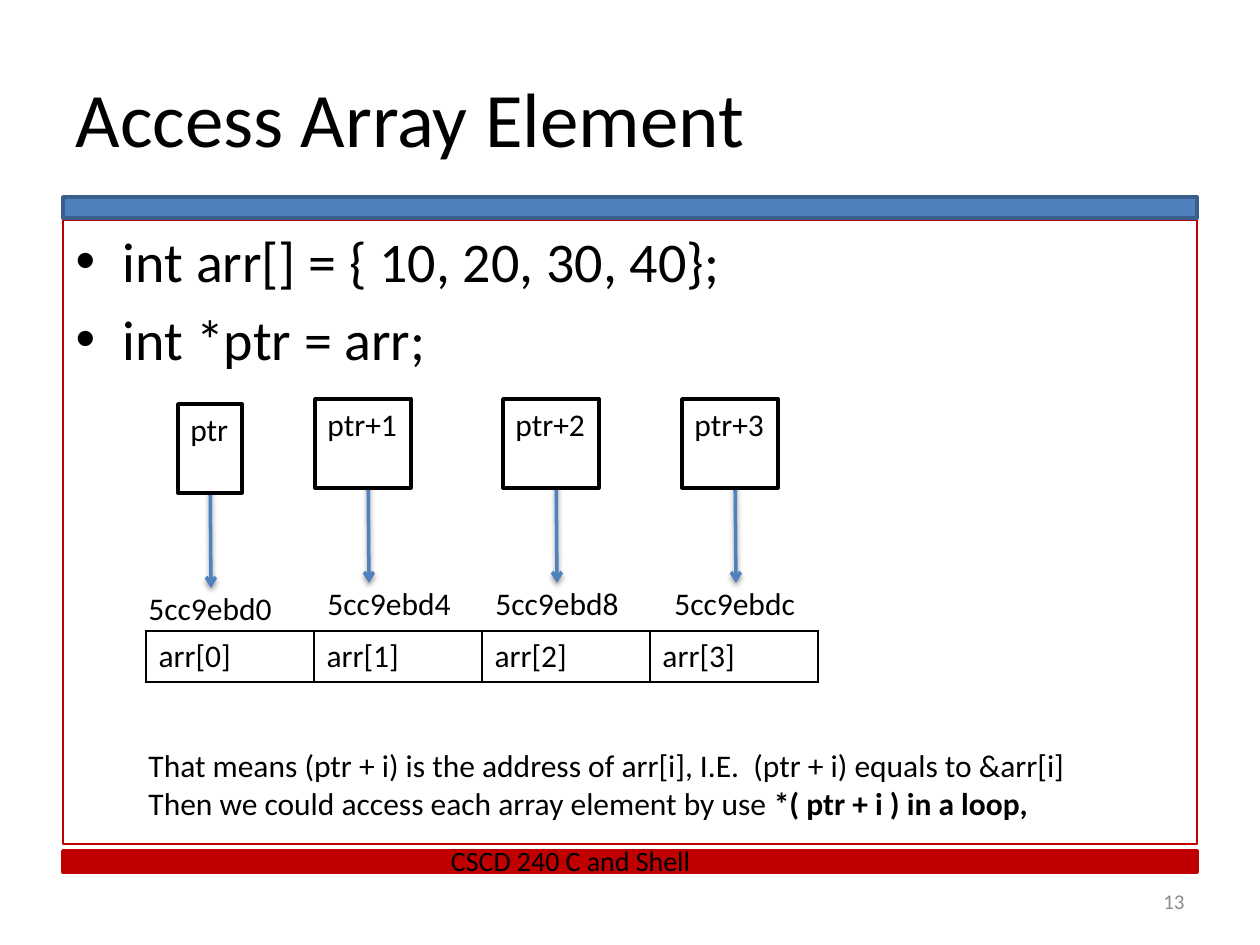
from lxml.etree import SubElement as Sub
from pptx import Presentation
from pptx.dml.color import RGBColor
from pptx.enum.shapes import MSO_CONNECTOR as Link, MSO_SHAPE as Preset
from pptx.enum.text import MSO_ANCHOR as Anchor, PP_ALIGN as Align
from pptx.oxml import parse_xml
from pptx.oxml.ns import nsdecls, qn
from pptx.util import Emu, Pt

BLACK, WHITE, RED, BLUE = "000000", "FFFFFF", "C00000", "4F81BD"


def px(*nums):
    """Turn px, 126 to the inch, into EMU."""
    return [Emu(round(n * 914400 / 126)) for n in nums]


def hue(code):
    return RGBColor.from_string(code)


def style(para, size, color=BLACK, align=Align.LEFT):
    font = para.font
    font.name, font.size = "Calibri", Pt(size)
    font.color.rgb = hue(color)
    para.alignment = align


def stroke(line, color, width):
    line.color.rgb = hue(color)
    line.width = Pt(width)


def place(shape, *box):
    shape.left, shape.top, shape.width, shape.height = px(*box)


def write(shape, lines, size, **look):
    """Fill a shape with lines; a line is a list of (text, bold) or a string."""
    frame = shape.text_frame
    for i, line in enumerate(lines):
        para = frame.paragraphs[0] if i == 0 else frame.add_paragraph()
        for text, bold in [(line, None)] if isinstance(line, str) else line:
            run = para.add_run()
            run.text = text
            run.font.bold = bold
        style(para, size, **look)
    return frame


def add_text(slide, box, lines, size=18, wrap=False, **look):
    frame = write(slide.shapes.add_textbox(*px(*box)), lines, size, **look)
    frame.word_wrap = wrap
    return frame


def add_rect(slide, box, fill, edge):
    rect = slide.shapes.add_shape(Preset.RECTANGLE, *px(*box))
    rect.shadow.inherit = False
    rect.fill.solid()
    rect.fill.fore_color.rgb = hue(fill)
    stroke(rect.line, edge, 2)
    return rect


def add_arrow(slide, *ends):
    arrow = slide.shapes.add_connector(Link.STRAIGHT, *px(*ends))
    stroke(arrow.line, BLUE, 2)
    Sub(arrow.line._get_or_add_ln(), qn("a:tailEnd"), type="arrow")
    arrow._element.spPr.append(parse_xml(
        f'<a:effectLst {nsdecls("a")}><a:outerShdw blurRad="39370" dist="20320" '
        'dir="5400000" rotWithShape="0"><a:srgbClr val="000000">'
        '<a:alpha val="38000"/></a:srgbClr></a:outerShdw></a:effectLst>'))


def add_pointer(slide, name, left, top, width, mid):
    """Draw a pointer box over the start of its arrow."""
    add_arrow(slide, left + mid, top + 56, left + mid + 1, top + 184)
    box = add_rect(slide, (left, top, width, 89), WHITE, BLACK)
    frame = write(box, [name], 18)
    frame.word_wrap = False
    frame.vertical_anchor = Anchor.TOP


def add_cells(slide, names, left, top, width, height):
    grid = slide.shapes.add_table(
        1, len(names), *px(left, top, width * len(names), height)).table
    grid.first_row = grid.horz_banding = False
    for cell, name in zip(grid.iter_cells(), names):
        cell.text = name
        style(cell.text_frame.paragraphs[0], 18)
        props = cell._tc.get_or_add_tcPr()
        for side in "LRTB":
            props.append(parse_xml(
                f'<a:ln{side} {nsdecls("a")} w="12700"><a:solidFill>'
                f'<a:srgbClr val="{BLACK}"/></a:solidFill></a:ln{side}>'))
        cell.fill.background()


def main():
    deck = Presentation()
    deck.slide_width, deck.slide_height = px(1260, 945)
    slide = deck.slides.add_slide(deck.slide_layouts[1])
    title, body = slide.placeholders

    place(title, 63, 38, 1134, 157)
    write(title, ["Access Array Element"], 44)
    place(body, 63, 220, 1134, 624)
    stroke(body.line, RED, 0.75)
    write(body, ["int arr[] = { 10, 20, 30, 40};", "int *ptr = arr;"], 32)

    add_rect(slide, (63, 197, 1134, 21), BLUE, "3A5F8C")
    add_rect(slide, (63, 851, 1134, 21), RED, RED)
    foot = add_text(slide, (451, 844, 431, 34), ["CSCD 240 C and Shell"], 16, True)
    foot.margin_left = foot.margin_right = foot.margin_top = foot.margin_bottom = 0
    page = add_text(slide, (903, 876, 294, 50), ["13"], 12, True,
                    color="8C8C8C", align=Align.RIGHT)
    page.vertical_anchor = Anchor.MIDDLE

    add_cells(slide, [f"arr[{i}]" for i in range(4)], 146, 631, 168, 51)
    labels = [("5cc9ebd0", 136, 583), ("5cc9ebd4", 315, 578),
              ("5cc9ebd8", 483, 578), ("5cc9ebdc", 662, 578)]
    for text, left, top in labels:
        add_text(slide, (left, top, 149, 51), [text])
    add_text(slide, (136, 740, 977, 89), [
        "That means (ptr + i) is the address of arr[i], I.E.  (ptr + i) equals to &arr[i]",
        [("Then we could access each array element by use ", None),
         ("*( ptr + i ) in a loop,", True)]])

    add_pointer(slide, "ptr", 178, 404, 64, 32)
    for i, left in enumerate((315, 503, 682), 1):
        add_pointer(slide, f"ptr+{i}", left, 399, 96, 53)

    deck.save("out.pptx")


if __name__ == "__main__":
    main()
